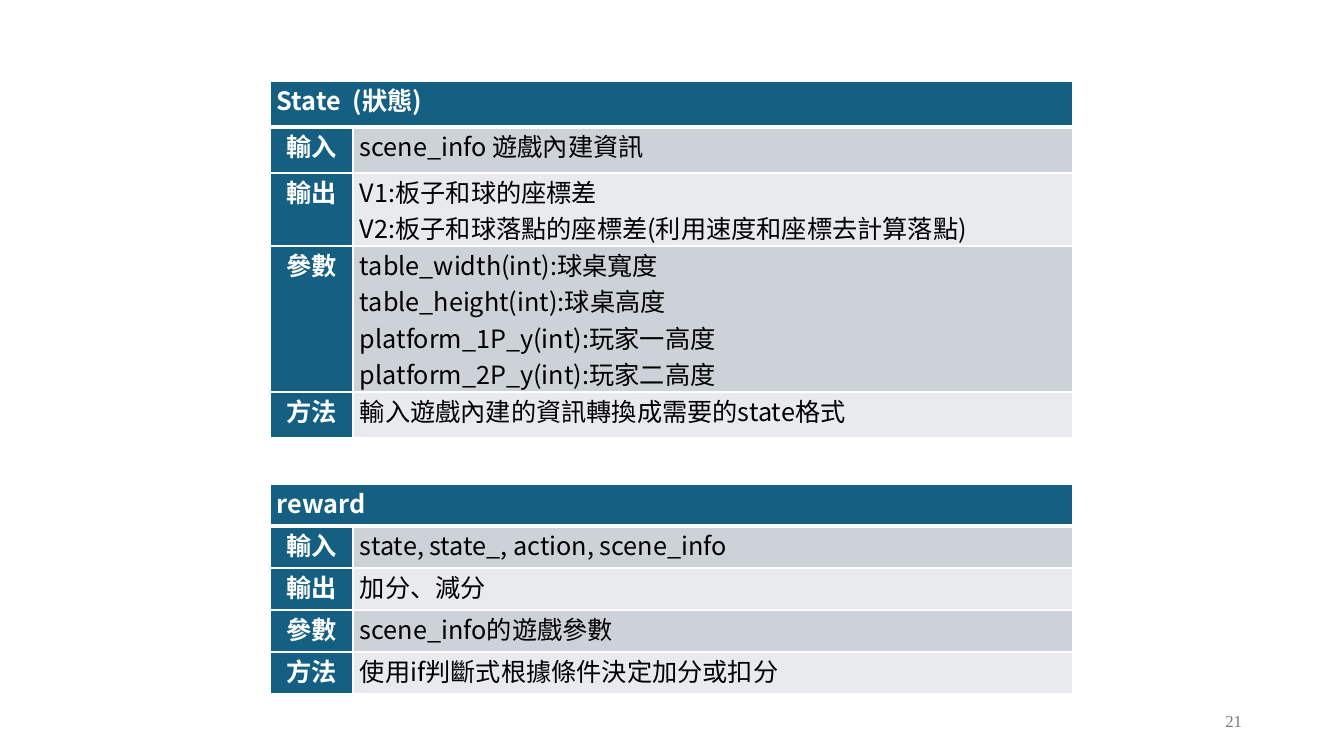
from lxml import etree
from pptx import Presentation
from pptx.dml.color import RGBColor
from pptx.enum.text import MSO_ANCHOR, PP_ALIGN
from pptx.oxml.ns import qn
from pptx.util import Pt

EMU_PER_PX = 914400 / 100.8
CENTER, JUSTIFY, LEFT, RIGHT = PP_ALIGN.CENTER, PP_ALIGN.JUSTIFY, PP_ALIGN.LEFT, PP_ALIGN.RIGHT
MIDDLE, TOP = MSO_ANCHOR.MIDDLE, MSO_ANCHOR.TOP

WHITE = RGBColor(0xFF, 0xFF, 0xFF)
BLACK = RGBColor(0x00, 0x00, 0x00)
GRAY = RGBColor(0x79, 0x79, 0x79)
TEAL = RGBColor(0x15, 0x60, 0x82)
BAND_COLORS = (RGBColor(0xCC, 0xD2, 0xD8), RGBColor(0xE8, 0xEA, 0xED))

TABLE_FONT = "Noto Sans CJK SC"
NUMBER_FONT = "Times New Roman"
COLUMN_WIDTHS = (83, 720)
CELL_MARGIN = 7
ROW_LABELS = ("輸入", "輸出", "參數", "方法")

STATE_ROWS = (
    ["scene_info 遊戲內建資訊"],
    ["V1:板子和球的座標差", "V2:板子和球落點的座標差(利用速度和座標去計算落點)"],
    [
        "table_width(int):球桌寬度",
        "table_height(int):球桌高度",
        "platform_1P_y(int):玩家一高度",
        "platform_2P_y(int):玩家二高度",
    ],
    ["輸入遊戲內建的資訊轉換成需要的state格式"],
)
REWARD_ROWS = (
    ["state, state_, action, scene_info"],
    ["加分、減分"],
    ["scene_info的遊戲參數"],
    ["使用if判斷式根據條件決定加分或扣分"],
)


def px(length):
    """Turn a length in px into EMU."""
    return round(length * EMU_PER_PX)


def write_lines(text_frame, lines, font_name, size, color, bold, alignment):
    """Write each line as one paragraph with a single run."""
    for index, line in enumerate(lines):
        paragraph = text_frame.add_paragraph() if index else text_frame.paragraphs[0]
        paragraph.alignment = alignment
        run = paragraph.add_run()
        run.text = line
        run.font.name = font_name
        run.font.size = Pt(size)
        run.font.bold = bold
        run.font.color.rgb = color
        east_asian = etree.SubElement(run.font._element, qn("a:ea"))
        east_asian.set("typeface", font_name)


def set_borders(cell, top, bottom):
    """Draw white cell borders, with top and bottom widths in points."""
    properties = cell._tc.get_or_add_tcPr()
    for side, width in (("L", 1), ("R", 1), ("T", top), ("B", bottom)):
        line = etree.SubElement(properties, qn(f"a:ln{side}"), w=str(Pt(width)))
        fill = etree.SubElement(line, qn("a:solidFill"))
        etree.SubElement(fill, qn("a:srgbClr"), val=str(WHITE))


def style_cell(cell, row_index, fill_color):
    """Set the borders, fill and margins of a cell."""
    set_borders(cell, 3 if row_index == 1 else 1, 1 if row_index else 3)
    cell.fill.solid()
    cell.fill.fore_color.rgb = fill_color
    cell.margin_left = cell.margin_right = px(CELL_MARGIN)
    cell.margin_top = cell.margin_bottom = 0
    cell.vertical_anchor = TOP


def add_function_table(slide, left, top, row_heights, title, contents):
    """Add a table that describes one function below a title row."""
    frame = slide.shapes.add_table(
        len(row_heights), len(COLUMN_WIDTHS), px(left), px(top),
        px(sum(COLUMN_WIDTHS)), px(sum(row_heights)),
    )
    table = frame.table
    for column, width in zip(table.columns, COLUMN_WIDTHS):
        column.width = px(width)
    for row, height in zip(table.rows, row_heights):
        row.height = px(height)

    title_cell = table.cell(0, 0)
    title_cell.merge(table.cell(0, 1))
    for column_index in range(len(COLUMN_WIDTHS)):
        style_cell(table.cell(0, column_index), 0, TEAL)
    write_lines(title_cell.text_frame, [title], TABLE_FONT, 18, WHITE, True, JUSTIFY)

    for row_index, (label, lines) in enumerate(zip(ROW_LABELS, contents), 1):
        label_cell = table.cell(row_index, 0)
        content_cell = table.cell(row_index, 1)
        style_cell(label_cell, row_index, TEAL)
        style_cell(content_cell, row_index, BAND_COLORS[(row_index - 1) % 2])
        write_lines(label_cell.text_frame, [label], TABLE_FONT, 18, WHITE, True, CENTER)
        write_lines(content_cell.text_frame, lines, TABLE_FONT, 18, BLACK, False, LEFT)


def add_page_number(slide, left, top, width, height, number):
    """Add the right-aligned page number."""
    text_box = slide.shapes.add_textbox(px(left), px(top), px(width), px(height))
    text_frame = text_box.text_frame
    text_frame.word_wrap = True
    text_frame.vertical_anchor = MIDDLE
    write_lines(text_frame, [number], NUMBER_FONT, 12, GRAY, False, RIGHT)


def main():
    """Build the slide and save it."""
    presentation = Presentation()
    presentation.slide_width = px(1344)
    presentation.slide_height = px(756)
    slide = presentation.slides.add_slide(presentation.slide_layouts[6])
    add_page_number(slide, 950, 701, 302, 40, "21")
    add_function_table(slide, 270, 81, (46, 46, 73, 146, 46), "State  (狀態)", STATE_ROWS)
    add_function_table(slide, 270, 484, (42,) * 5, "reward", REWARD_ROWS)
    presentation.save("out.pptx")


if __name__ == "__main__":
    main()
